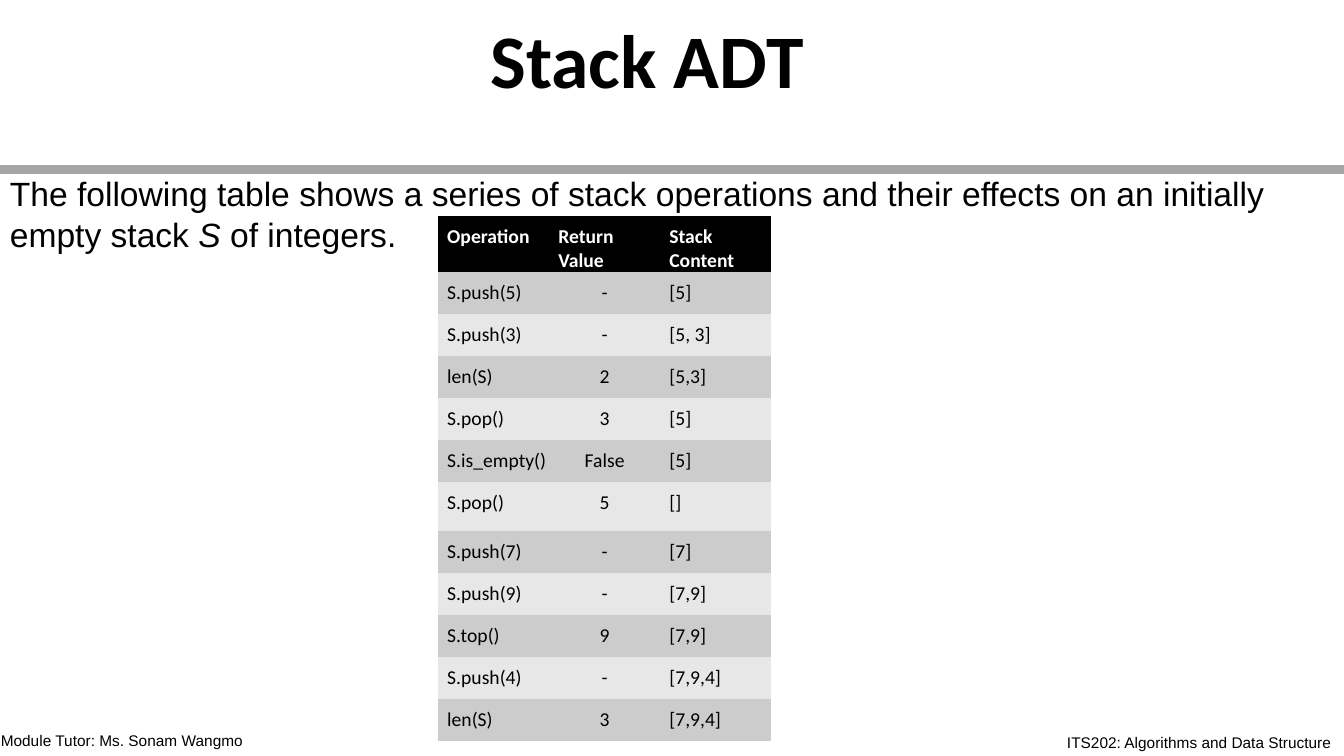
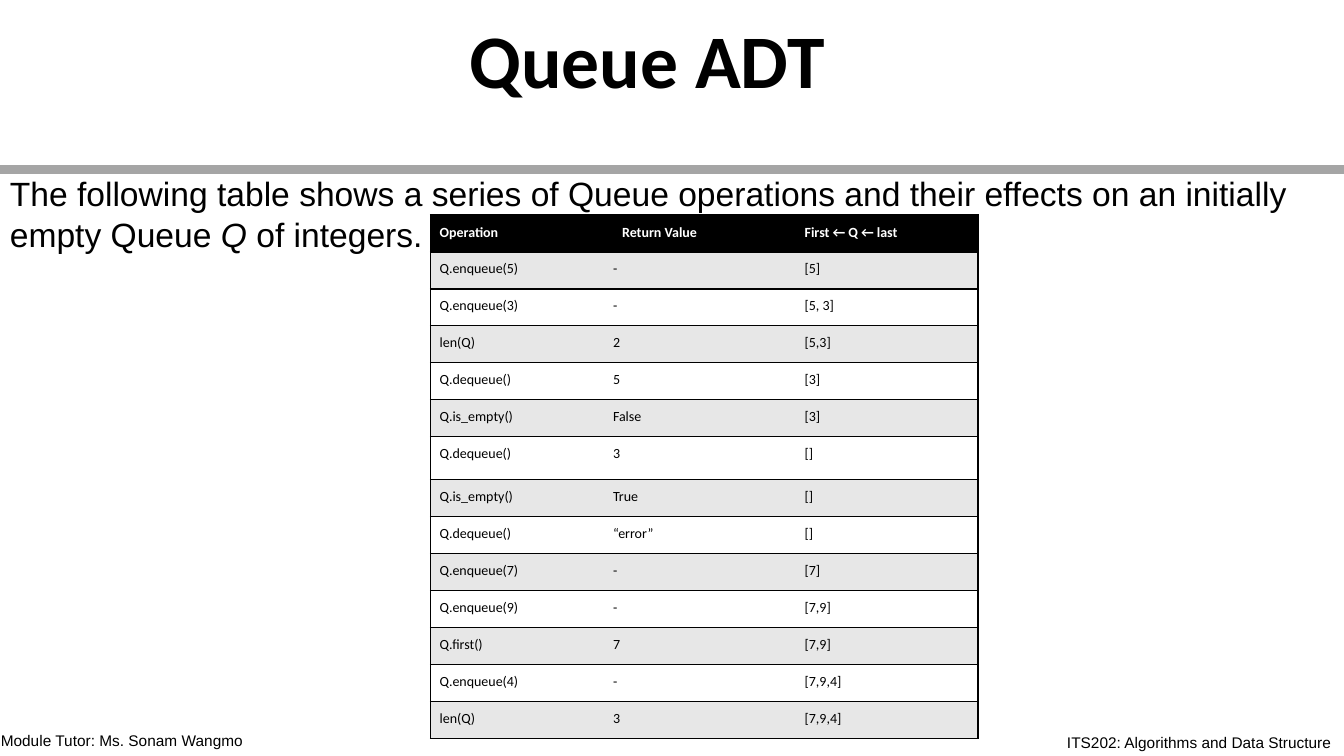
from pptx import Presentation
from pptx.dml.color import RGBColor
from pptx.enum.text import MSO_ANCHOR, PP_ALIGN
from pptx.oxml import parse_xml
from pptx.oxml.ns import nsdecls, qn
from pptx.util import Cm, Pt

BLACK, WHITE, GREY = "000000", "FFFFFF", "A5A5A5"
DARK, LIGHT = "CCCCCC", "E7E7E7"
NO_GRID = "{2D5ABB26-0587-4C30-8999-92F81FD0307C}"
TALL = 6  # the one row that is higher than the rest

FOOTS = [
    (-0.23, 18.31, 6.68, "Module Tutor: Ms. Sonam Wangmo"),
    (26.64, 18.34, 7.24, "ITS202: Algorithms and Data Structure"),
]

PAGES = [
    {
        "title": "Stack ADT", "kind": "stack", "name": "S",
        "left": 11.04, "top": 5.44, "col": 2.8, "row": 1.06, "tall": 1.23,
        "size": 14, "align": PP_ALIGN.CENTER, "bands": (DARK, LIGHT), "lines": False,
        "cells": [
            ("Operation", "Return Value", "Stack Content"),
            ("S.push(5)", "-", "[5]"),
            ("S.push(3)", "-", "[5, 3]"),
            ("len(S)", "2", "[5,3]"),
            ("S.pop()", "3", "[5]"),
            ("S.is_empty()", "False", "[5]"),
            ("S.pop()", "5", "[]"),
            ("S.push(7)", "-", "[7]"),
            ("S.push(9)", "-", "[7,9]"),
            ("S.top()", "9", "[7,9]"),
            ("S.push(4)", "-", "[7,9,4]"),
            ("len(S)", "3", "[7,9,4]"),
        ],
    },
    {
        "title": "Queue ADT", "kind": "Queue", "name": "Q",
        "left": 10.85, "top": 5.42, "col": 4.6, "row": 0.93, "tall": 1.09,
        "size": 10, "align": PP_ALIGN.LEFT, "bands": (LIGHT, WHITE), "lines": True,
        "cells": [
            ("Operation", "Return Value", "First ← Q ← last"),
            ("Q.enqueue(5)", "-", "[5]"),
            ("Q.enqueue(3)", "-", "[5, 3]"),
            ("len(Q)", "2", "[5,3]"),
            ("Q.dequeue()", "5", "[3]"),
            ("Q.is_empty()", "False", "[3]"),
            ("Q.dequeue()", "3", "[]"),
            ("Q.is_empty()", "True", "[]"),
            ("Q.dequeue()", "“error”", "[]"),
            ("Q.enqueue(7)", "-", "[7]"),
            ("Q.enqueue(9)", "-", "[7,9]"),
            ("Q.first()", "7", "[7,9]"),
            ("Q.enqueue(4)", "-", "[7,9,4]"),
            ("len(Q)", "3", "[7,9,4]"),
        ],
    },
]


def style(para, size, face, color=BLACK, bold=False):
    font = para.font
    font.size, font.name, font.bold = Pt(size), face, bold
    font.color.rgb = RGBColor.from_string(color)


def add_text(slide, box, text, size, face="Arial", bold=False):
    """Add a text box and return its frame; box is left, top, width, height in cm."""
    frame = slide.shapes.add_textbox(*map(Cm, box)).text_frame
    frame.word_wrap = True
    para = frame.paragraphs[0]
    para.add_run().text = text
    style(para, size, face, bold=bold)
    return frame


deck = Presentation()
deck.slide_width, deck.slide_height = Cm(33.87), Cm(19.05)

for page in PAGES:
    slide = deck.slides.add_slide(deck.slide_layouts[6])

    for left, top, width, text in FOOTS:
        add_text(slide, (left, top, width, 0.73), text, 11).word_wrap = False

    title = add_text(slide, (3.94, 0.38, 24.74, 2.39), page["title"], 54, "Calibri", True)
    title.vertical_anchor = MSO_ANCHOR.BOTTOM
    title.paragraphs[0].alignment = PP_ALIGN.CENTER
    title.paragraphs[0].line_spacing = 0.9

    rule = slide.shapes.add_connector(1, 0, Cm(4.27), deck.slide_width, Cm(4.27))
    rule.line.color.rgb = RGBColor.from_string(GREY)
    rule.line.width = Pt(6)
    rule._element.spPr.append(parse_xml(f"<a:effectLst {nsdecls('a')}/>"))

    kind = page["kind"]
    intro = add_text(
        slide, (0, 4.24, 33.87, 2.31),
        f"The following table shows a series of {kind} operations and their "
        f"effects on an initially empty {kind} ", 24)
    name = intro.paragraphs[0].add_run()
    name.text = page["name"] + " "
    name.font.italic = True
    intro.paragraphs[0].add_run().text = "of integers."

    cells = page["cells"]
    high = page["row"] * (len(cells) - 1) + page["tall"]
    table = slide.shapes.add_table(
        len(cells), 3, Cm(page["left"]), Cm(page["top"]),
        Cm(3 * page["col"]), Cm(high)).table
    table._tbl.tblPr.find(qn("a:tableStyleId")).text = NO_GRID
    for col in table.columns:
        col.width = Cm(page["col"])

    for r, texts in enumerate(cells):
        table.rows[r].height = Cm(page["tall"] if r == TALL else page["row"])
        head = r == 0
        fill = BLACK if head else page["bands"][(r - 1) % 2]
        for c, text in enumerate(texts):
            cell = table.cell(r, c)
            value = c == 1 and not head
            cell.margin_left = Cm(0 if value else 0.23)
            cell.margin_top = Cm(0.22)
            cell.margin_right = cell.margin_bottom = 0
            if page["lines"]:
                sides = ("L" if c == 0 else "") + ("R" if c == 2 else "") + "TB"
                for side in sides:
                    cell._tc.get_or_add_tcPr().append(parse_xml(
                        f'<a:ln{side} {nsdecls("a")} w="12700"><a:solidFill>'
                        f'<a:srgbClr val="{BLACK}"/></a:solidFill></a:ln{side}>'))
            cell.fill.solid()
            cell.fill.fore_color.rgb = RGBColor.from_string(fill)
            cell.text = text
            para = cell.text_frame.paragraphs[0]
            para.space_before = Pt(6.3)
            para.alignment = page["align"] if value else PP_ALIGN.LEFT
            style(para, page["size"], "Calibri", WHITE if head else BLACK, head)

deck.save("out.pptx")
